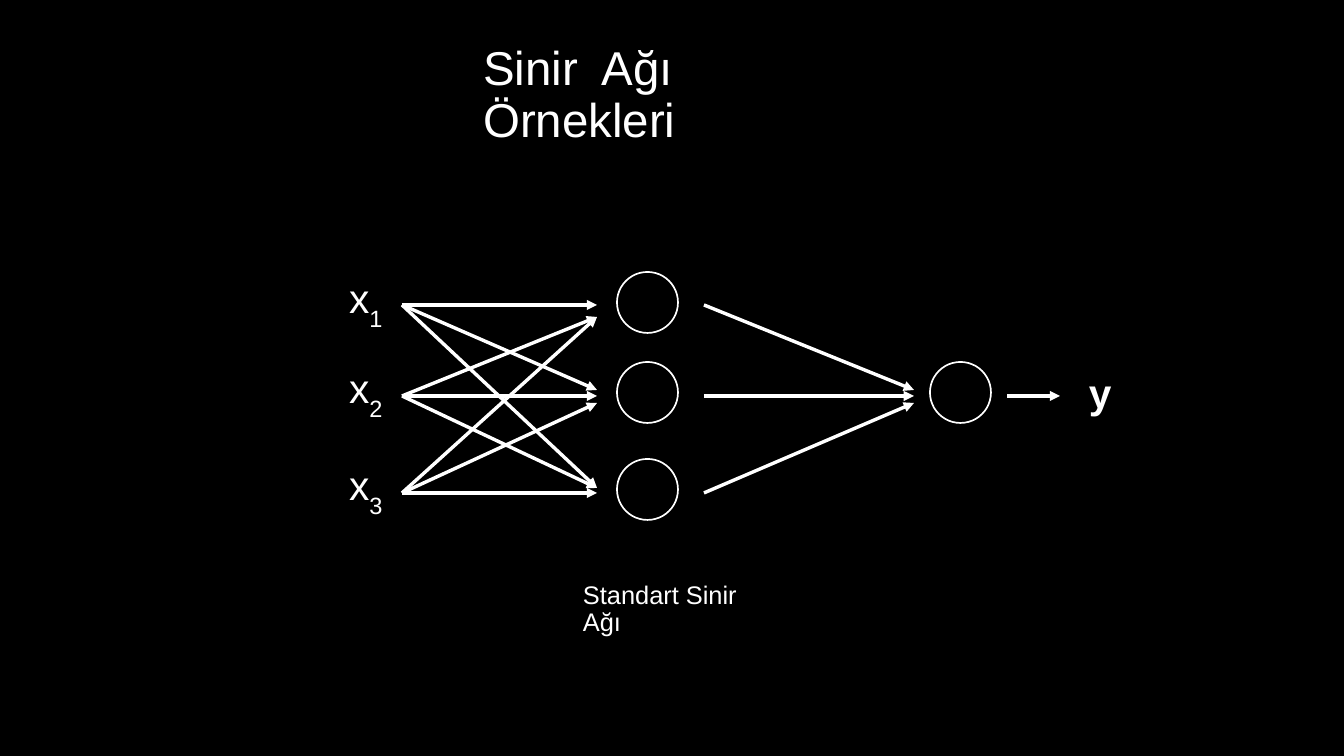
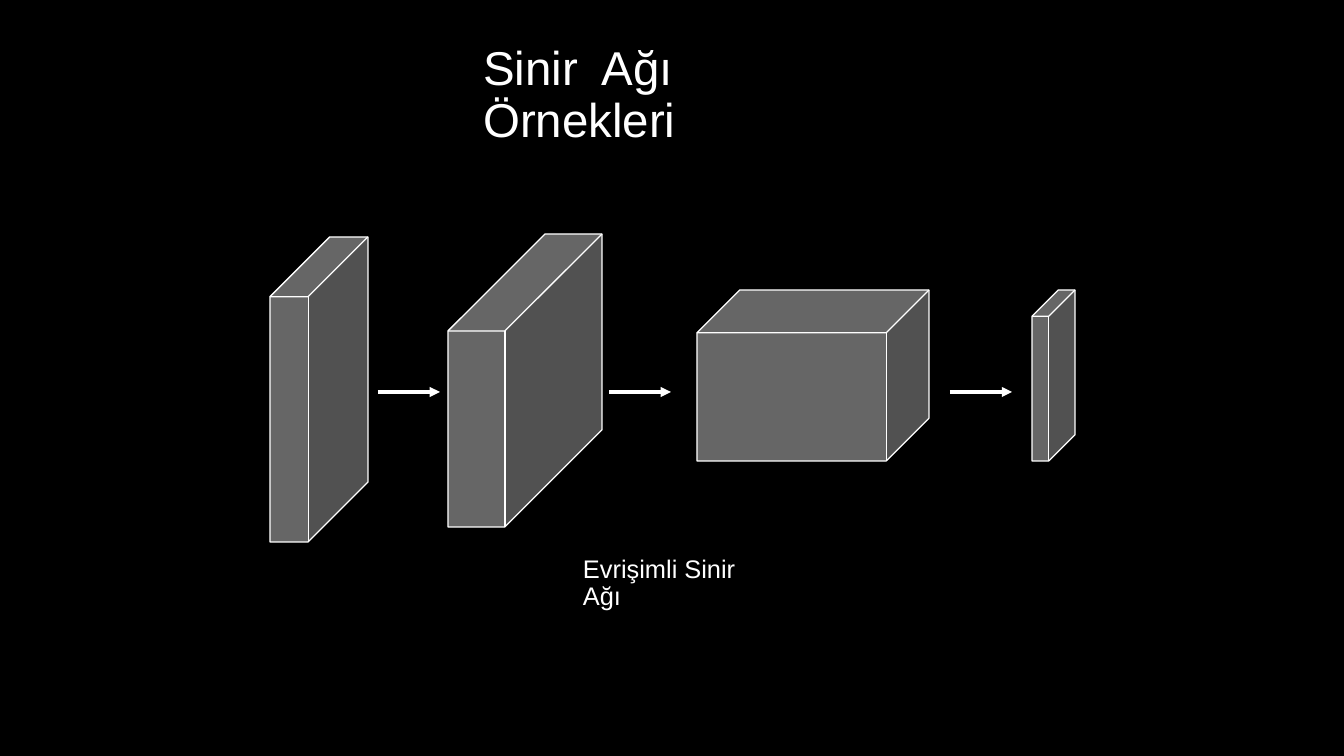
"""Build two slides of neural network diagrams: a standard one and a convolutional one."""
from lxml import etree
from pptx import Presentation
from pptx import util as u
from pptx.dml.color import RGBColor
from pptx.enum import shapes, text
from pptx.oxml.ns import qn

PX = 7495
FONT = "Arial"
COLORS = {"back": "000000", "ink": "FFFFFF"}

TITLE = "Sinir  Ağı Örnekleri"
TITLE_BOX = (471, 23, 401, 146)
CAPTION_LEFT, CAPTION_SIZE = 571, (203, 146)
CAPTIONS = [("Standart Sinir Ağı", 537), ("Evrişimli Sinir Ağı", 511)]

NEURON = 61
HIDDEN_LEFT, OUTPUT_LEFT = 617, 930
LABEL_LEFT, LABEL_SIZE = 337, (65, 71)
INPUT_ARROWS, HIDDEN_ARROWS, OUTPUT_ARROW = (402, 597), (704, 914), (1007, 1060)
ROWS = [
    {"index": "1", "neuron": 272, "wire": 305, "from_below": 317},
    {"index": "2", "neuron": 362, "wire": 396, "from_above": 390, "from_below": 403},
    {"index": "3", "neuron": 459, "wire": 493, "from_above": 488},
]
OUTPUT_ROW = 1
OUTPUT_LABEL = (1077, 362, 105, 67)

CUBES = [
    ((270, 237, 98, 305), 0.61),
    ((448, 234, 154, 293), 0.63),
    ((697, 290, 232, 171), 0.25),
    ((1032, 290, 43, 171), 0.61),
]
CUBE_ALPHA = 40
FLOW_Y, FLOW_LENGTH = 392, 62
FLOW_STARTS = [378, 609, 950]


def px(*lengths):
    return [u.Emu(length * PX) for length in lengths]


def color(name):
    return RGBColor.from_string(COLORS[name])


def add_run(para, words, size, bold=False, baseline=None):
    span = para.add_run()
    span.text = words
    span.font.name = FONT
    span.font.size = u.Pt(size)
    span.font.bold = bold
    span.font.color.rgb = color("ink")
    if baseline:
        span.font._element.set("baseline", str(baseline))


def add_box(page, area):
    box = page.shapes.add_textbox(*px(*area))
    box.text_frame.word_wrap = True
    return box


def fill_heading(box, words, size):
    frame = box.text_frame
    frame.word_wrap = True
    frame.auto_size = text.MSO_AUTO_SIZE.NONE
    frame.vertical_anchor = text.MSO_ANCHOR.MIDDLE
    para = frame.paragraphs[0]
    para.alignment = text.PP_ALIGN.LEFT
    para.line_spacing = 0.9
    add_run(para, words, size)


def add_page(deck, caption, caption_top):
    page = deck.slides.add_slide(deck.slide_layouts[5])
    title = page.shapes.title
    title.left, title.top, title.width, title.height = px(*TITLE_BOX)
    fill_heading(title, TITLE, 28)
    box = add_box(page, (CAPTION_LEFT, caption_top, *CAPTION_SIZE))
    fill_heading(box, caption, 15)
    return page


def add_arrow(page, start, end):
    arrow = page.shapes.add_connector(shapes.MSO_CONNECTOR.STRAIGHT, *px(*start, *end))
    arrow.line.color.rgb = color("ink")
    arrow.line.width = u.Pt(0)
    etree.SubElement(arrow.line._get_or_add_ln(), qn("a:tailEnd"), type="triangle")
    etree.SubElement(arrow._element.spPr, qn("a:effectLst"))


def add_outline(page, kind, area, width):
    shape = page.shapes.add_shape(kind, *px(*area))
    shape.shadow.inherit = False
    shape.line.color.rgb = color("ink")
    shape.line.width = u.Pt(width)
    return shape


def add_neuron(page, left, top):
    area = (left, top, NEURON, NEURON)
    add_outline(page, shapes.MSO_SHAPE.OVAL, area, 1).fill.background()


def add_cube(page, area, depth):
    cube = add_outline(page, shapes.MSO_SHAPE.CUBE, area, 0)
    cube.adjustments[0] = depth
    cube.fill.solid()
    cube.fill.fore_color.rgb = color("ink")
    tint = cube._element.spPr.find(qn("a:solidFill")).find(qn("a:srgbClr"))
    etree.SubElement(tint, qn("a:alpha"), val=str(CUBE_ALPHA * 1000))


def entry(source, target):
    if source == target:
        return ROWS[target]["wire"]
    return ROWS[target]["from_above" if source < target else "from_below"]


def connect_rows(page, span, targets):
    start, end = span
    for source, row in enumerate(ROWS):
        for target in targets:
            add_arrow(page, (start, row["wire"]), (end, entry(source, target)))


def draw_standard(page):
    for row in ROWS:
        add_neuron(page, HIDDEN_LEFT, row["neuron"])
        label = add_box(page, (LABEL_LEFT, row["neuron"] - 5, *LABEL_SIZE))
        para = label.text_frame.paragraphs[0]
        add_run(para, "x", 24)
        add_run(para, row["index"], 24, baseline=-33000)
    connect_rows(page, INPUT_ARROWS, range(len(ROWS)))
    connect_rows(page, HIDDEN_ARROWS, [OUTPUT_ROW])
    output = ROWS[OUTPUT_ROW]
    add_neuron(page, OUTPUT_LEFT, output["neuron"])
    start, end = OUTPUT_ARROW
    add_arrow(page, (start, output["wire"]), (end, output["wire"]))
    label = add_box(page, OUTPUT_LABEL)
    add_run(label.text_frame.paragraphs[0], "y", 24, bold=True)


def draw_convolutional(page):
    for area, depth in CUBES:
        add_cube(page, area, depth)
    for start in FLOW_STARTS:
        add_arrow(page, (start, FLOW_Y), (start + FLOW_LENGTH, FLOW_Y))


def main():
    deck = Presentation()
    deck.slide_width, deck.slide_height = px(1344, 756)
    back = deck.slide_master.background.fill
    back.solid()
    back.fore_color.rgb = color("back")
    for draw, caption in zip((draw_standard, draw_convolutional), CAPTIONS):
        draw(add_page(deck, *caption))
    deck.save("out.pptx")


if __name__ == "__main__":
    main()
